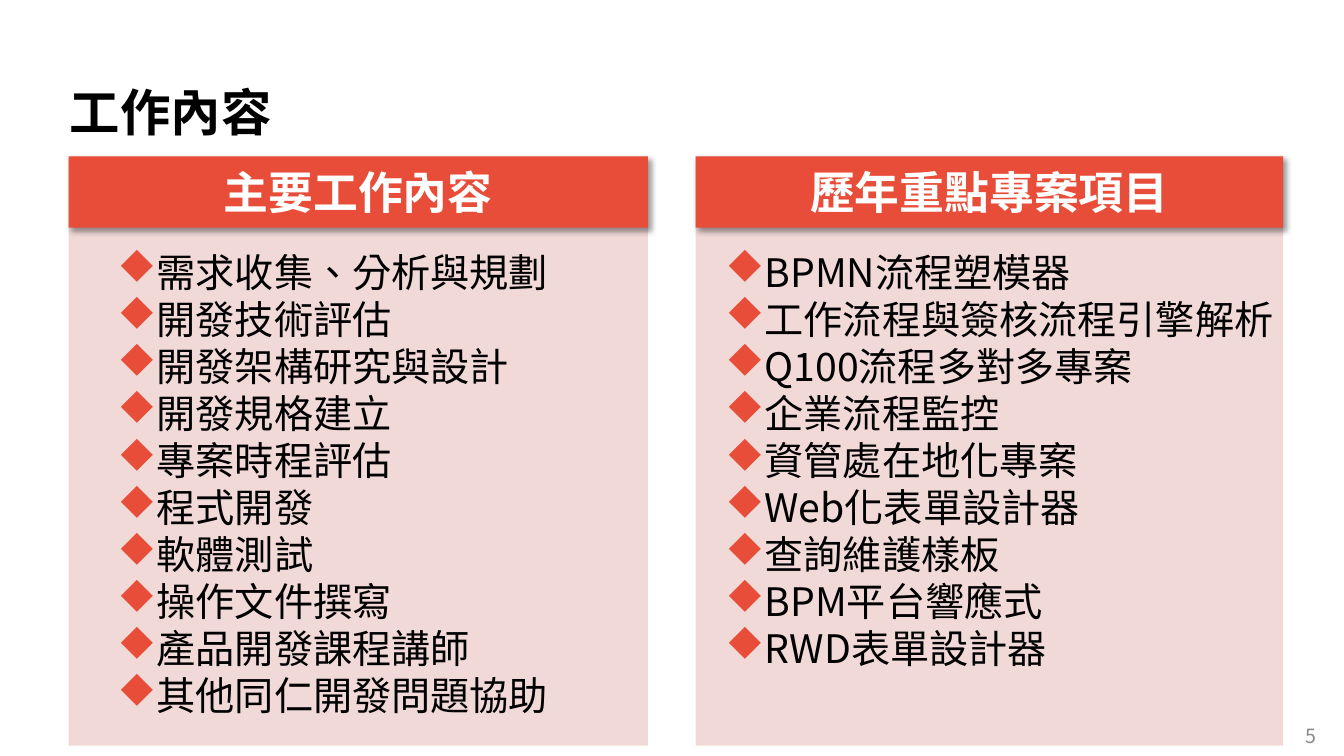
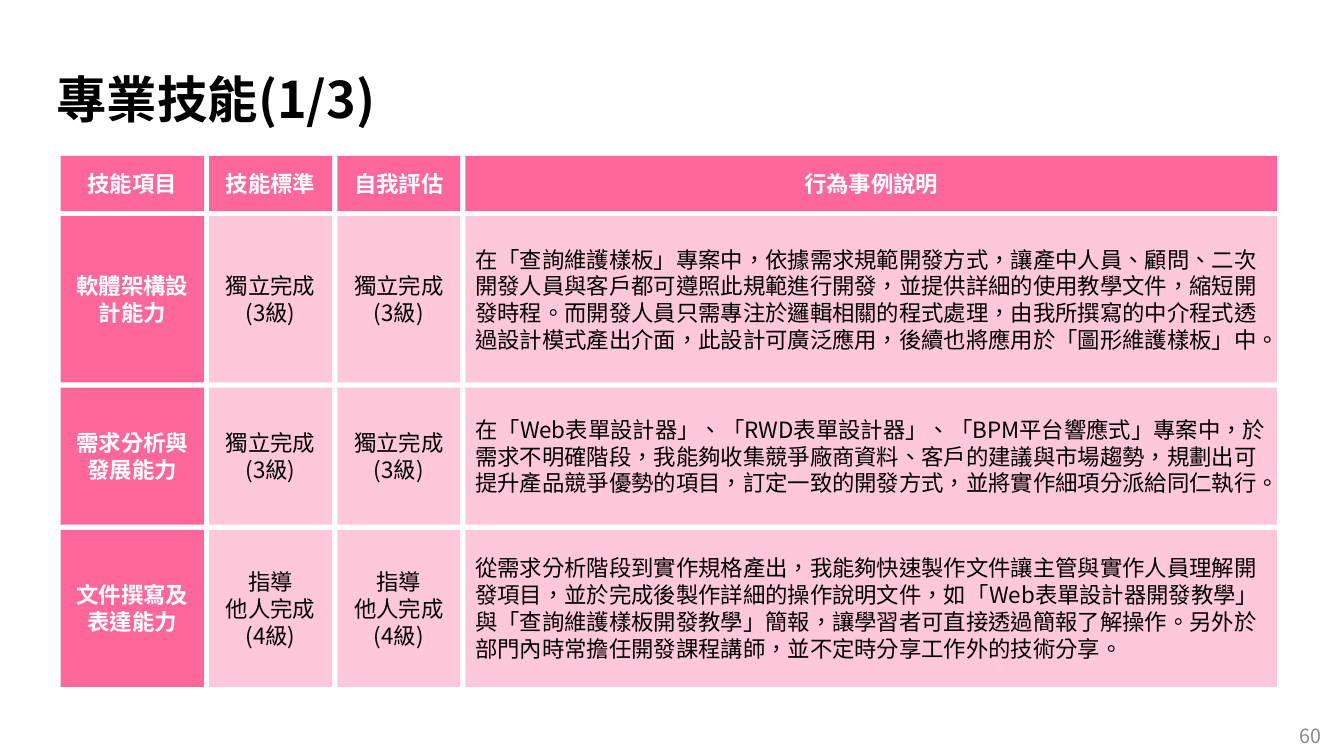
from lxml import etree
from pptx import Presentation
from pptx import util as u
from pptx.dml.color import RGBColor
from pptx.enum import shapes, text
from pptx.oxml import parse_xml
from pptx.oxml.ns import qn

Cm, Pt = u.Cm, u.Pt
NS = 'xmlns:a="http://schemas.openxmlformats.org/drawingml/2006/main"'
FONT = "Noto Sans CJK SC"
BLACK = RGBColor(0, 0, 0)
WHITE = RGBColor(255, 255, 255)
GRAY = RGBColor(0x89, 0x89, 0x89)
RED = RGBColor(0xE8, 0x4D, 0x39)
ROSE = RGBColor(0xD9, 0x96, 0x94)
PINK = RGBColor(0xFF, 0x66, 0x99)

LEFT, MID = text.PP_ALIGN.LEFT, text.PP_ALIGN.CENTER
TOP, CORE = text.MSO_ANCHOR.TOP, text.MSO_ANCHOR.MIDDLE
FIXED = text.MSO_AUTO_SIZE.NONE

# Text styles
TITLE = dict(size=Pt(36), bold=True, color=BLACK)
PAGE = dict(size=Pt(14), bold=False, color=GRAY)
BAND = dict(size=Pt(32), bold=True, color=WHITE)
LIST = dict(size=Pt(28), bold=False, color=BLACK)
HEAD = dict(size=Pt(16), bold=True, color=WHITE)
CELL = dict(size=Pt(16), bold=False, color=BLACK)


def write(frame, words, style, align=LEFT, anchor=TOP, mark=None):
    """Fill a frame, one paragraph a line, with an optional bullet colour."""
    frame.word_wrap = True
    frame.auto_size = FIXED
    frame.vertical_anchor = anchor
    for i, line in enumerate(words.split("\n")):
        par = frame.paragraphs[0] if i == 0 else frame.add_paragraph()
        par.alignment = align
        par.space_before = Pt(0)
        if mark:
            prop = par._p.get_or_add_pPr()
            prop.set("marL", str(Cm(0.79)))
            prop.set("indent", str(-Cm(0.79)))
            for tag in (
                f'<a:buClr {NS}><a:srgbClr val="{mark}"/></a:buClr>',
                f'<a:buFont {NS} typeface="Wingdings" charset="2"/>',
                f'<a:buChar {NS} char="u"/>',  # a diamond in this font
            ):
                prop.append(parse_xml(tag))
        run = par.add_run()
        run.text = line
        run.font.name = FONT
        for key, val in style.items():
            if key == "color":
                run.font.color.rgb = val
            else:
                setattr(run.font, key, val)
        prop = run._r.get_or_add_rPr()
        prop.set("lang", "zh-TW")
        etree.SubElement(prop, qn("a:ea")).set("typeface", FONT)


def block(page, left, top, width, height, fill, clear=False):
    """Draw a plain rectangle, see-through if clear."""
    rect = page.shapes.add_shape(
        shapes.MSO_SHAPE.RECTANGLE, Cm(left), Cm(top), Cm(width), Cm(height))
    rect.shadow.inherit = False
    rect.fill.solid()
    rect.fill.fore_color.rgb = fill
    rect.line.fill.background()
    if clear:
        tint = rect._element.spPr.find(".//" + qn("a:srgbClr"))
        etree.SubElement(tint, qn("a:alpha")).set("val", "36000")
    return rect


deck = Presentation()
deck.slide_width, deck.slide_height = Cm(33.87), Cm(19.05)

# Shared parts: title and page number
pages = []
for kind, name, left, top, num in [
    (3, "工作內容", 1.51, 1.92, "5"),
    (5, "專業技能(1/3)", 1.17, 1.59, "60"),
]:
    page = deck.slides.add_slide(deck.slide_layouts[kind])
    head = page.shapes.title
    head.left, head.top = Cm(left), Cm(top)
    head.width, head.height = Cm(12), Cm(1.85)
    write(head.text_frame, name, TITLE)
    box = page.shapes.add_textbox(Cm(32.13), Cm(18.03), Cm(1.8), Cm(1.02))
    write(box.text_frame, num, PAGE, MID, CORE)
    pages.append(page)
work, skill = pages

# Slide 1: two panels, each with a band and a list
TASKS = """需求收集、分析與規劃
開發技術評估
開發架構研究與設計
開發規格建立
專案時程評估
程式開發
軟體測試
操作文件撰寫
產品開發課程講師
其他同仁開發問題協助"""
JOBS = """BPMN流程塑模器
工作流程與簽核流程引擎解析
Q100流程多對多專案
企業流程監控
資管處在地化專案
Web化表單設計器
查詢維護樣板
BPM平台響應式
RWD表單設計器"""

for slot, name, items, left, width, inner in [
    (1, "主要工作內容", TASKS, 1.73, 14.6, 2.71),
    (2, "歷年重點專案項目", JOBS, 17.53, 14.81, 18.03),
]:
    block(work, left, 3.94, width, 14.85, ROSE, True)
    band = block(work, left, 3.94, width, 1.8, RED)
    band._element.spPr.find(qn("a:effectLst")).append(parse_xml(
        f'<a:outerShdw {NS} blurRad="{Pt(4)}" dist="{Pt(3)}" '
        'dir="2700000" algn="tl" rotWithShape="0">'
        '<a:srgbClr val="000000"><a:alpha val="40000"/></a:srgbClr>'
        '</a:outerShdw>'))
    write(band.text_frame, name, BAND, MID, CORE)
    body = work.placeholders[slot]
    body.left, body.top = Cm(inner), Cm(6.12)
    body.width, body.height = Cm(14.4), Cm(12.3)
    write(body.text_frame, items, LIST, mark=RED)
    work.shapes._spTree.append(body._element)  # in front of its panel

# Slide 2: grid of skill blocks
ROWS = [
    ("技能項目", "技能標準", "自我評估", "行為事例說明"),
    ("軟體架構設計能力", "獨立完成\n(3級)", "獨立完成\n(3級)",
     "在「查詢維護樣板」專案中，依據需求規範開發方式，讓產中人員、顧問、"
     "二次開發人員與客戶都可遵照此規範進行開發，並提供詳細的使用教學文件，"
     "縮短開發時程。而開發人員只需專注於邏輯相關的程式處理，"
     "由我所撰寫的中介程式透過設計模式產出介面，此設計可廣泛應用，"
     "後續也將應用於「圖形維護樣板」中。"),
    ("需求分析與\n發展能力", "獨立完成\n(3級)", "獨立完成\n(3級)",
     "在「Web表單設計器」、「RWD表單設計器」、「BPM平台響應式」專案中，"
     "於需求不明確階段，我能夠收集競爭廠商資料、客戶的建議與市場趨勢，"
     "規劃出可提升產品競爭優勢的項目，訂定一致的開發方式，"
     "並將實作細項分派給同仁執行。"),
    ("文件撰寫及表達能力", "指導\n他人完成\n(4級)", "指導\n他人完成\n(4級)",
     "從需求分析階段到實作規格產出，我能夠快速製作文件讓主管與實作人員"
     "理解開發項目，並於完成後製作詳細的操作說明文件，"
     "如「Web表單設計器開發教學」與「查詢維護樣板開發教學」簡報，"
     "讓學習者可直接透過簡報了解操作。另外於部門內時常擔任開發課程講師，"
     "並不定時分享工作外的技術分享。"),
]
WIDE = [3.61, 3.1, 3.1, 20.45]
HIGH = [1.39, 4.19, 3.45, 3.96]
GAP = 0.13

top = 3.93
for r, (row, high) in enumerate(zip(ROWS, HIGH)):
    left = 1.53
    for c, (words, wide) in enumerate(zip(row, WIDE)):
        lead = r == 0 or c == 0
        cell = block(skill, left, top, wide, high, PINK, not lead)
        write(cell.text_frame, words, HEAD if lead else CELL,
              LEFT if r and c == 3 else MID, CORE)
        left += wide + GAP
    top += high + GAP

deck.save("out.pptx")
